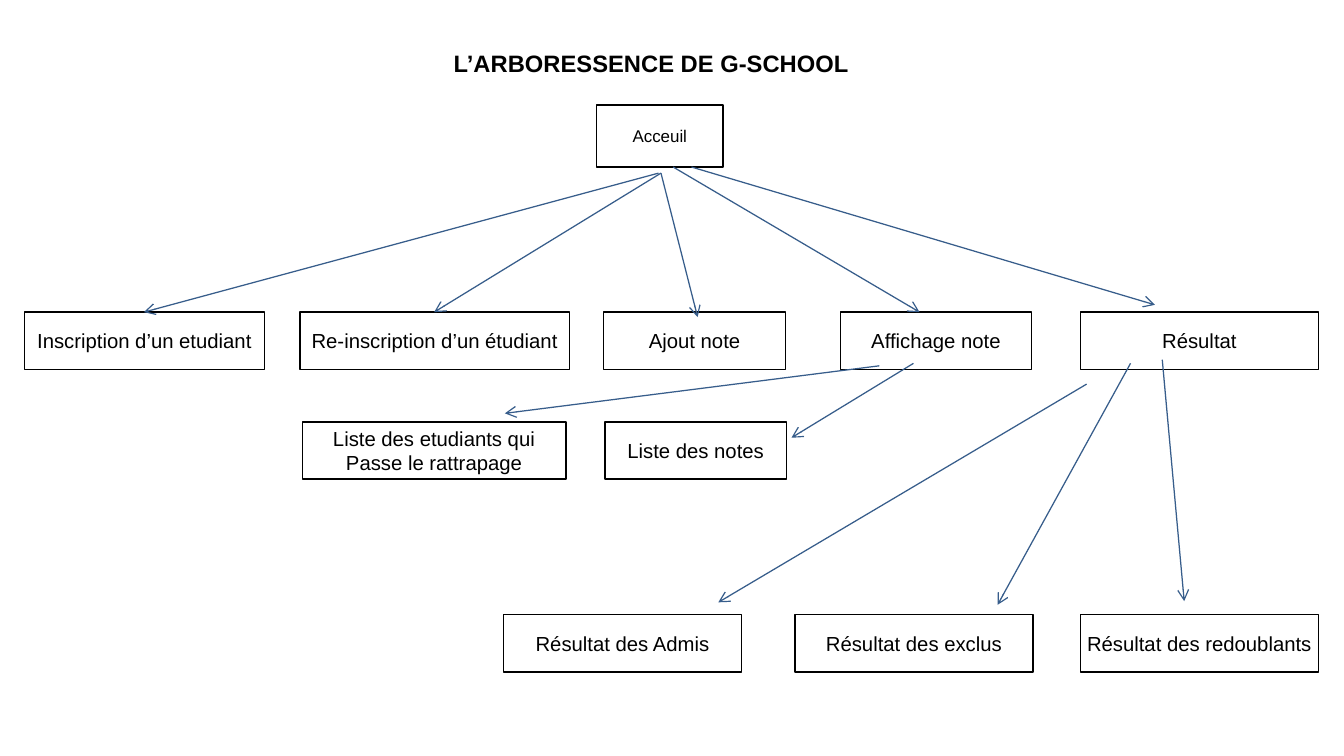
from dataclasses import dataclass

from lxml.etree import SubElement
from pptx import Presentation
from pptx.dml.color import RGBColor
from pptx.enum.shapes import MSO_CONNECTOR, MSO_SHAPE
from pptx.enum.text import MSO_ANCHOR, MSO_AUTO_SIZE, PP_ALIGN
from pptx.oxml.ns import qn
from pptx.slide import Slide
from pptx.util import Inches, Pt

COLORS = {"text": "000000", "box": "FFFFFF", "border": "000000", "arrow": "375D8B"}
FONT = "Arial"
BOX_HEIGHT = 0.47
PAGES_TOP, LISTS_TOP, RESULTS_TOP = 2.56, 3.46, 5.04
RESULT_WIDTH = 1.95


@dataclass
class Box:
    lines: list[str]
    left: float
    top: float
    width: float
    height: float = BOX_HEIGHT
    size: int = 12


@dataclass
class Arrow:
    x1: float
    y1: float
    x2: float
    y2: float


BOXES = [
    Box(["Acceuil"], 4.89, 0.86, 1.04, 0.51, 10),
    Box(["Inscription d’un etudiant"], 0.2, PAGES_TOP, 1.97),
    Box(["Re-inscription d’un étudiant"], 2.46, PAGES_TOP, 2.21),
    Box(["Ajout note"], 4.95, PAGES_TOP, 1.49),
    Box(["Affichage note"], 6.89, PAGES_TOP, 1.57),
    Box(["Résultat"], 8.86, PAGES_TOP, RESULT_WIDTH),
    Box(["Liste des etudiants qui", "Passe le rattrapage"], 2.48, LISTS_TOP, 2.16),
    Box(["Liste des notes"], 4.96, LISTS_TOP, 1.49),
    Box(["Résultat des Admis"], 4.13, RESULTS_TOP, RESULT_WIDTH),
    Box(["Résultat des exclus"], 6.52, RESULTS_TOP, RESULT_WIDTH),
    Box(["Résultat des redoublants"], 8.86, RESULTS_TOP, RESULT_WIDTH),
]

ARROWS = [
    Arrow(5.4, 1.42, 1.18, 2.56),
    Arrow(5.42, 1.42, 3.56, 2.56),
    Arrow(5.42, 1.42, 5.72, 2.6),
    Arrow(5.52, 1.37, 7.54, 2.56),
    Arrow(5.67, 1.37, 9.47, 2.5),
    Arrow(7.21, 3, 4.14, 3.39),
    Arrow(7.49, 2.98, 6.49, 3.59),
    Arrow(9.53, 2.95, 9.71, 4.93),
    Arrow(9.27, 2.98, 8.18, 4.96),
    Arrow(8.91, 3.15, 5.89, 4.94),
]


def rgb(name: str) -> RGBColor:
    return RGBColor.from_string(COLORS[name])


def add_run(p, text: str, size: int, bold: bool = False) -> None:
    r = p.add_run()
    r.text = text
    r.font.name = FONT
    r.font.size = Pt(size)
    r.font.bold = bold
    r.font.color.rgb = rgb("text")


def set_title(s: Slide, text: str) -> None:
    sp = s.shapes.title
    sp.left, sp.top = Inches(3.62), Inches(0.35)
    sp.width, sp.height = Inches(4.62), Inches(0.32)
    tf = sp.text_frame
    tf.word_wrap = True
    tf.auto_size = MSO_AUTO_SIZE.NONE
    tf.vertical_anchor = MSO_ANCHOR.TOP
    p = tf.paragraphs[0]
    p.alignment = PP_ALIGN.LEFT
    add_run(p, text, 14, bold=True)


def add_box(s: Slide, box: Box) -> None:
    sp = s.shapes.add_shape(
        MSO_SHAPE.FLOWCHART_PROCESS,
        Inches(box.left), Inches(box.top), Inches(box.width), Inches(box.height),
    )
    sp.shadow.inherit = False
    sp.fill.solid()
    sp.fill.fore_color.rgb = rgb("box")
    sp.line.color.rgb = rgb("border")
    sp.line.width = Pt(0.85)
    tf = sp.text_frame
    tf.word_wrap = False
    tf.vertical_anchor = MSO_ANCHOR.MIDDLE
    for i, line in enumerate(box.lines):
        p = tf.add_paragraph() if i else tf.paragraphs[0]
        p.alignment = PP_ALIGN.CENTER
        add_run(p, line, box.size)


def add_arrow(s: Slide, arrow: Arrow) -> None:
    cxn = s.shapes.add_connector(
        MSO_CONNECTOR.STRAIGHT,
        Inches(arrow.x1), Inches(arrow.y1), Inches(arrow.x2), Inches(arrow.y2),
    )
    cxn.line.color.rgb = rgb("arrow")
    cxn.line.width = Pt(0.75)
    SubElement(cxn.line._get_or_add_ln(), qn("a:tailEnd"), type="arrow")
    SubElement(cxn._element.spPr, qn("a:effectLst"))


def main() -> None:
    prs = Presentation()
    prs.slide_width, prs.slide_height = Inches(11.02), Inches(6.2)
    s = prs.slides.add_slide(prs.slide_layouts[5])
    set_title(s, "L’ARBORESSENCE DE G-SCHOOL")
    for box in BOXES:
        add_box(s, box)
    for arrow in ARROWS:
        add_arrow(s, arrow)
    prs.save("out.pptx")


if __name__ == "__main__":
    main()
